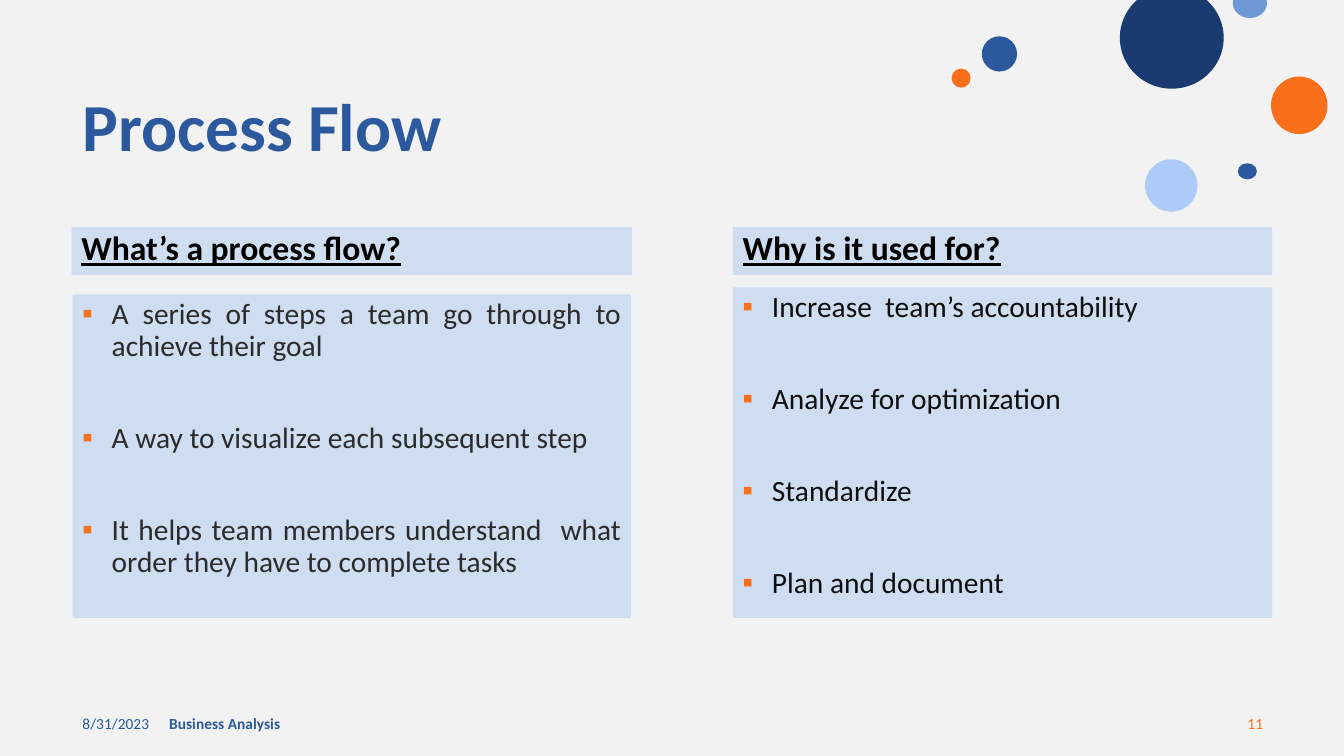
"""Build the Process Flow slide with its two question panels."""
from dataclasses import dataclass

import pptx
import pptx.dml.color
import pptx.enum.shapes
import pptx.enum.text
import pptx.oxml
import pptx.oxml.ns
import pptx.util

COLUMNS, ROWS = 160, 90
SLIDE_WIDTH, SLIDE_HEIGHT = pptx.util.Inches(13.33), pptx.util.Inches(7.5)
FONT = "Calibri"
INDENT = pptx.util.Inches(0.29)
COLORS = {
    "background": "F2F2F2", "panel": "CFDDF1", "blue": "2C599D",
    "navy": "1A3B70", "sky": "6E98D6", "pale": "ACCBF9",
    "orange": "FA6F1A", "black": "000000", "charcoal": "2A2B2C", "ink": "0D0E10",
}
ELLIPSE = pptx.enum.shapes.MSO_SHAPE.OVAL
CONNECTOR = pptx.enum.shapes.MSO_SHAPE.FLOWCHART_CONNECTOR
RECTANGLE = pptx.enum.shapes.MSO_SHAPE.RECTANGLE
LEFT = pptx.enum.text.PP_ALIGN.LEFT
RIGHT = pptx.enum.text.PP_ALIGN.RIGHT
JUSTIFY = pptx.enum.text.PP_ALIGN.JUSTIFY


@dataclass(frozen=True)
class Area:
    column: float
    row: float
    columns: float
    rows: float

    def emu(self) -> tuple[int, int, int, int]:
        return (
            round(self.column * SLIDE_WIDTH / COLUMNS),
            round(self.row * SLIDE_HEIGHT / ROWS),
            round(self.columns * SLIDE_WIDTH / COLUMNS),
            round(self.rows * SLIDE_HEIGHT / ROWS),
        )


@dataclass(frozen=True)
class Bubble:
    area: Area
    color: str
    outline: pptx.enum.shapes.MSO_SHAPE = ELLIPSE


@dataclass(frozen=True)
class Style:
    size: float
    color: str
    bold: bool = False
    underline: bool = False
    align: pptx.enum.text.PP_ALIGN = LEFT
    line_spacing: float = 0.9


@dataclass(frozen=True)
class Panel:
    question_area: Area
    question: str
    answers_area: Area
    answers: tuple[str, ...]
    answer_color: str


@dataclass(frozen=True)
class FooterItem:
    area: Area
    text: str
    style: Style


TITLE_AREA = Area(8.64, 10.56, 56.16, 10.92)
TITLE_STYLE = Style(48, "blue", bold=True)
QUESTION_STYLE = Style(24, "black", bold=True, underline=True)

PANELS = (
    Panel(
        Area(8.52, 27, 66.72, 5.76), "What’s a process flow?",
        Area(8.64, 35.04, 66.48, 38.52),
        (
            "A series of steps a team go through to achieve their goal",
            "A way to visualize each subsequent step",
            "It helps team members understand  what order they have to complete tasks",
        ),
        "charcoal",
    ),
    Panel(
        Area(87.24, 27, 64.2, 5.76), "Why is it used for?",
        Area(87.24, 34.2, 64.2, 39.36),
        (
            "Increase  team’s accountability",
            "Analyze for optimization",
            "Standardize",
            "Plan and document",
        ),
        "ink",
    ),
)

FOOTER = (
    FooterItem(Area(8.64, 83.76, 36, 4.8), "8/31/2023", Style(11, "blue", line_spacing=1.0)),
    FooterItem(Area(18.96, 83.76, 54, 4.8), "Business Analysis",
               Style(11, "blue", bold=True, line_spacing=1.0)),
    FooterItem(Area(115.56, 83.76, 36, 4.8), "11",
               Style(11, "orange", align=RIGHT, line_spacing=1.0)),
)

BUBBLES = (
    Bubble(Area(136.32, 18.96, 6.24, 6.24), "pale"),
    Bubble(Area(116.88, 4.32, 4.2, 4.2), "blue"),
    Bubble(Area(113.28, 8.16, 2.28, 2.28), "orange"),
    Bubble(Area(151.32, 9.12, 6.72, 6.84), "orange", CONNECTOR),
    Bubble(Area(133.32, -1.56, 12.36, 12.12), "navy", CONNECTOR),
    Bubble(Area(147.36, 19.44, 2.28, 1.92), "blue", CONNECTOR),
    Bubble(Area(146.76, -1.44, 4.08, 3.6), "sky"),
)


def rgb(color: str) -> pptx.dml.color.RGBColor:
    return pptx.dml.color.RGBColor.from_string(COLORS[color])


def add_filled(slide, outline, area: Area, color: str):
    shape = slide.shapes.add_shape(outline, *area.emu())
    shape.shadow.inherit = False
    shape.fill.solid()
    shape.fill.fore_color.rgb = rgb(color)
    shape.line.fill.background()
    return shape


def add_bullet(paragraph) -> None:
    properties = paragraph._p.get_or_add_pPr()
    properties.set("marL", str(INDENT))
    properties.set("indent", str(-INDENT))
    namespace = pptx.oxml.ns.nsdecls("a")
    for element in (
        f'<a:buClr {namespace}><a:srgbClr val="{COLORS["orange"]}"/></a:buClr>',
        f'<a:buFont {namespace} typeface="{FONT}"/>',
        f'<a:buChar {namespace} char="▪"/>',
    ):
        properties.append(pptx.oxml.parse_xml(element))


def write(frame, lines: tuple[str, ...], style: Style, anchor="TOP", bulleted=False) -> None:
    frame.word_wrap = True
    frame.auto_size = pptx.enum.text.MSO_AUTO_SIZE.NONE
    frame.vertical_anchor = pptx.enum.text.MSO_ANCHOR[anchor]
    for index, line in enumerate(lines):
        paragraph = frame.add_paragraph() if index else frame.paragraphs[0]
        paragraph.text = line
        if bulleted:
            add_bullet(paragraph)
        paragraph.alignment = style.align
        paragraph.line_spacing = style.line_spacing
        paragraph.space_before = pptx.util.Pt(43 if index else 0)
        paragraph.font.name = FONT
        paragraph.font.size = pptx.util.Pt(style.size)
        paragraph.font.bold = style.bold
        paragraph.font.underline = style.underline
        paragraph.font.color.rgb = rgb(style.color)


def add_panel(slide, panel: Panel) -> None:
    question = add_filled(slide, RECTANGLE, panel.question_area, "panel")
    write(question.text_frame, (panel.question,), QUESTION_STYLE)
    answers = add_filled(slide, RECTANGLE, panel.answers_area, "panel")
    answer_style = Style(21, panel.answer_color, align=JUSTIFY)
    write(answers.text_frame, panel.answers, answer_style, bulleted=True)


def main() -> None:
    deck = pptx.Presentation()
    deck.slide_width, deck.slide_height = SLIDE_WIDTH, SLIDE_HEIGHT
    slide = deck.slides.add_slide(deck.slide_layouts.get_by_name("Title Only"))
    slide.background.fill.solid()
    slide.background.fill.fore_color.rgb = rgb("background")

    title = slide.shapes.title
    title.left, title.top, title.width, title.height = TITLE_AREA.emu()
    write(title.text_frame, ("Process Flow",), TITLE_STYLE)
    for panel in PANELS:
        add_panel(slide, panel)
    for item in FOOTER:
        box = slide.shapes.add_textbox(*item.area.emu())
        write(box.text_frame, (item.text,), item.style, anchor="MIDDLE")
    for bubble in BUBBLES:
        add_filled(slide, bubble.outline, bubble.area, bubble.color)
    deck.save("out.pptx")


if __name__ == "__main__":
    main()
